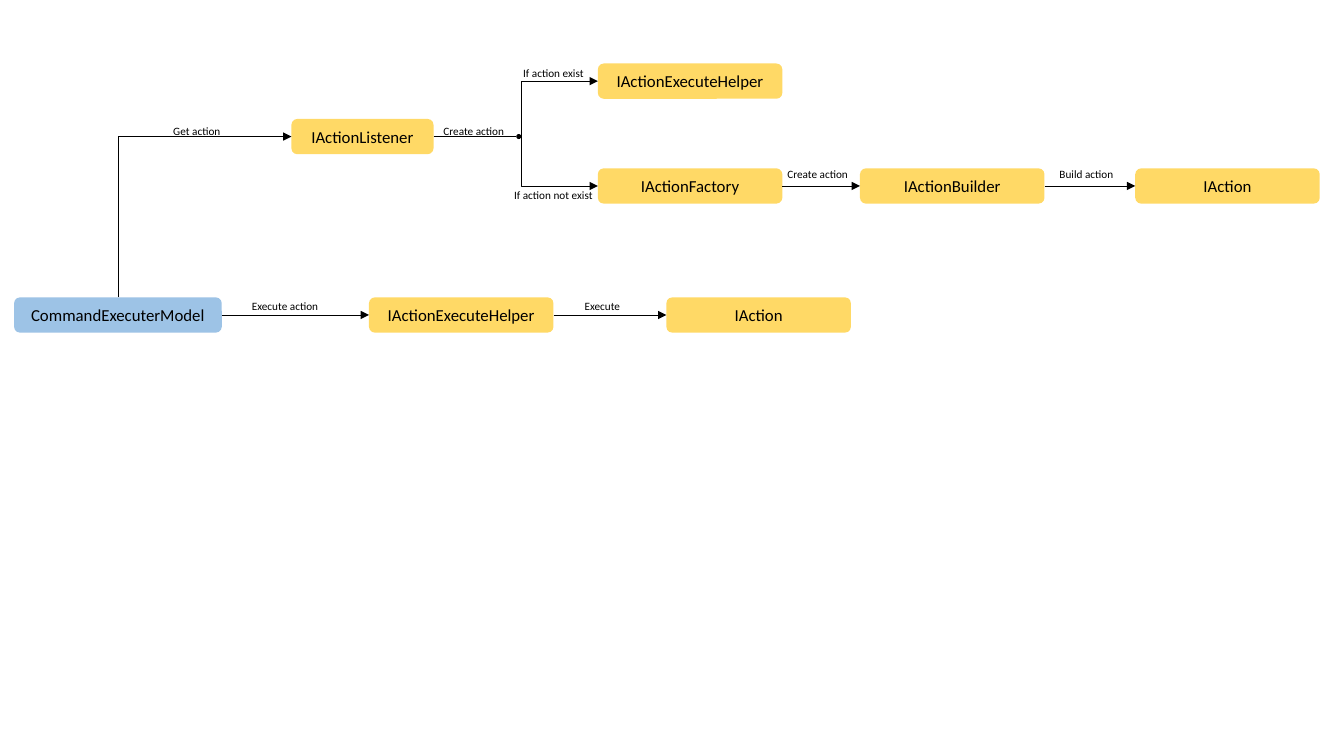
from pptx import Presentation
from pptx.dml.color import RGBColor
from pptx.enum.shapes import MSO_CONNECTOR as Link, MSO_SHAPE as Preset
from pptx.enum.text import MSO_ANCHOR as Anchor, MSO_AUTO_SIZE as AutoSize, PP_ALIGN as Align
from pptx.oxml.ns import qn
from pptx.util import Inches, Pt
from lxml.etree import SubElement

COLORS = {"model": "9DC3E6", "interface": "FFD966", "ink": "000000"}
FONT = "Calibri"
BOX_HEIGHT, LABEL_HEIGHT = 0.35, 0.24
DOT_LEFT, DOT_TOP, DOT_SIZE = 5.12, 1.33, 0.05
TOP, LEFT, RIGHT = 0, 1, 3

# key: (text, left, top, width, colour)
BOXES = {
    "model": ("CommandExecuterModel", 0.14, 2.95, 2.06, "model"),
    "listener": ("IActionListener", 2.89, 1.18, 1.41, "interface"),
    "existing helper": ("IActionExecuteHelper", 5.93, 0.63, 1.83, "interface"),
    "factory": ("IActionFactory", 5.93, 1.67, 1.83, "interface"),
    "builder": ("IActionBuilder", 8.53, 1.67, 1.83, "interface"),
    "built action": ("IAction", 11.26, 1.67, 1.83, "interface"),
    "helper": ("IActionExecuteHelper", 3.66, 2.95, 1.83, "interface"),
    "action": ("IAction", 6.61, 2.95, 1.83, "interface"),
}
ARROWS = [
    ("factory", "builder"),
    ("builder", "built action"),
    ("model", "helper"),
    ("helper", "action"),
]
# (text, left, top, width)
LABELS = [
    ("Get action", 1.62, 1.18, 0.67),
    ("Create action", 4.3, 1.18, 0.81),
    ("If action exist", 5.09, 0.61, 0.81),
    ("If action not exist", 5.0, 1.82, 0.99),
    ("Create action", 7.71, 1.61, 0.81),
    ("Build action", 10.41, 1.61, 0.74),
    ("Execute action", 2.4, 2.92, 0.87),
    ("Execute", 5.7, 2.92, 0.56),
]


def color(name):
    return RGBColor.from_string(COLORS[name])


def write(shape, text, size, frame_format):
    frame = shape.text_frame
    for name, value in frame_format.items():
        setattr(frame, name, value)
    para = frame.paragraphs[0]
    span = para.add_run()
    span.text = text
    for name, value in {"name": FONT, "size": Pt(size)}.items():
        setattr(span.font, name, value)
    span.font.color.rgb = color("ink")
    return para


def add_solid(page, preset, left, top, width, height, fill):
    shape = page.shapes.add_shape(preset, *map(Inches, (left, top, width, height)))
    shape.shadow.inherit = False
    shape.fill.solid()
    shape.fill.fore_color.rgb = color(fill)
    shape.line.fill.background()
    return shape


def add_line(page, kind, begin, end, arrow=True):
    line = page.shapes.add_connector(kind, *begin, *end)
    line.line.color.rgb = color("ink")
    line.line.width = Pt(0.5)
    if arrow:
        SubElement(line.line._get_or_add_ln(), qn("a:tailEnd"), type="triangle")
    SubElement(line._element.spPr, qn("a:effectLst"))
    return line


def add_bend(page, begin, end):
    """Arrow that runs vertically from begin, then right to end."""
    rise, run = abs(end[1] - begin[1]), end[0] - begin[0]
    left = (begin[0] + end[0] - rise) // 2
    top = (begin[1] + end[1] - run) // 2
    line = add_line(page, Link.ELBOW, (left, top), (left + rise, top + run))
    properties = line._element.spPr
    properties.find(qn("a:prstGeom")).set("prst", "bentConnector2")
    upward = end[1] < begin[1]
    turn = {"rot": "5400000", "flipH": "1", "flipV": "1"} if upward else {"rot": "16200000", "flipH": "1"}
    for name, value in turn.items():
        properties.find(qn("a:xfrm")).set(name, value)


def side(box, site):
    """Middle of the top, left or right side of a box."""
    if site == TOP:
        return box.left + box.width // 2, box.top
    return box.left + (box.width if site == RIGHT else 0), box.top + box.height // 2


def main():
    deck = Presentation()
    deck.slide_width, deck.slide_height = Inches(13.33), Inches(7.5)
    page = deck.slides.add_slide(deck.slide_layouts[6])

    boxes = {}
    for key, (text, left, top, width, fill) in BOXES.items():
        box = add_solid(page, Preset.ROUNDED_RECTANGLE, left, top, width, BOX_HEIGHT, fill)
        para = write(box, text, 12, {"vertical_anchor": Anchor.MIDDLE, "word_wrap": True})
        para.alignment = Align.CENTER
        boxes[key] = box

    dot = add_solid(page, Preset.OVAL, DOT_LEFT, DOT_TOP, DOT_SIZE, DOT_SIZE, "ink")
    listener = boxes["listener"]
    stem = add_line(page, Link.STRAIGHT, side(listener, RIGHT), side(dot, LEFT), arrow=False)
    stem.begin_connect(listener, RIGHT)

    for source, target in ARROWS:
        begin, end = boxes[source], boxes[target]
        arrow = add_line(page, Link.STRAIGHT, side(begin, RIGHT), side(end, LEFT))
        arrow.begin_connect(begin, RIGHT)
        arrow.end_connect(end, LEFT)

    add_bend(page, side(boxes["model"], TOP), side(listener, LEFT))
    for branch in ("existing helper", "factory"):
        add_bend(page, side(dot, RIGHT), side(boxes[branch], LEFT))

    for text, left, top, width in LABELS:
        label = page.shapes.add_textbox(*map(Inches, (left, top, width, LABEL_HEIGHT)))
        write(label, text, 8, {"word_wrap": False, "auto_size": AutoSize.SHAPE_TO_FIT_TEXT})

    deck.save("out.pptx")


if __name__ == "__main__":
    main()
